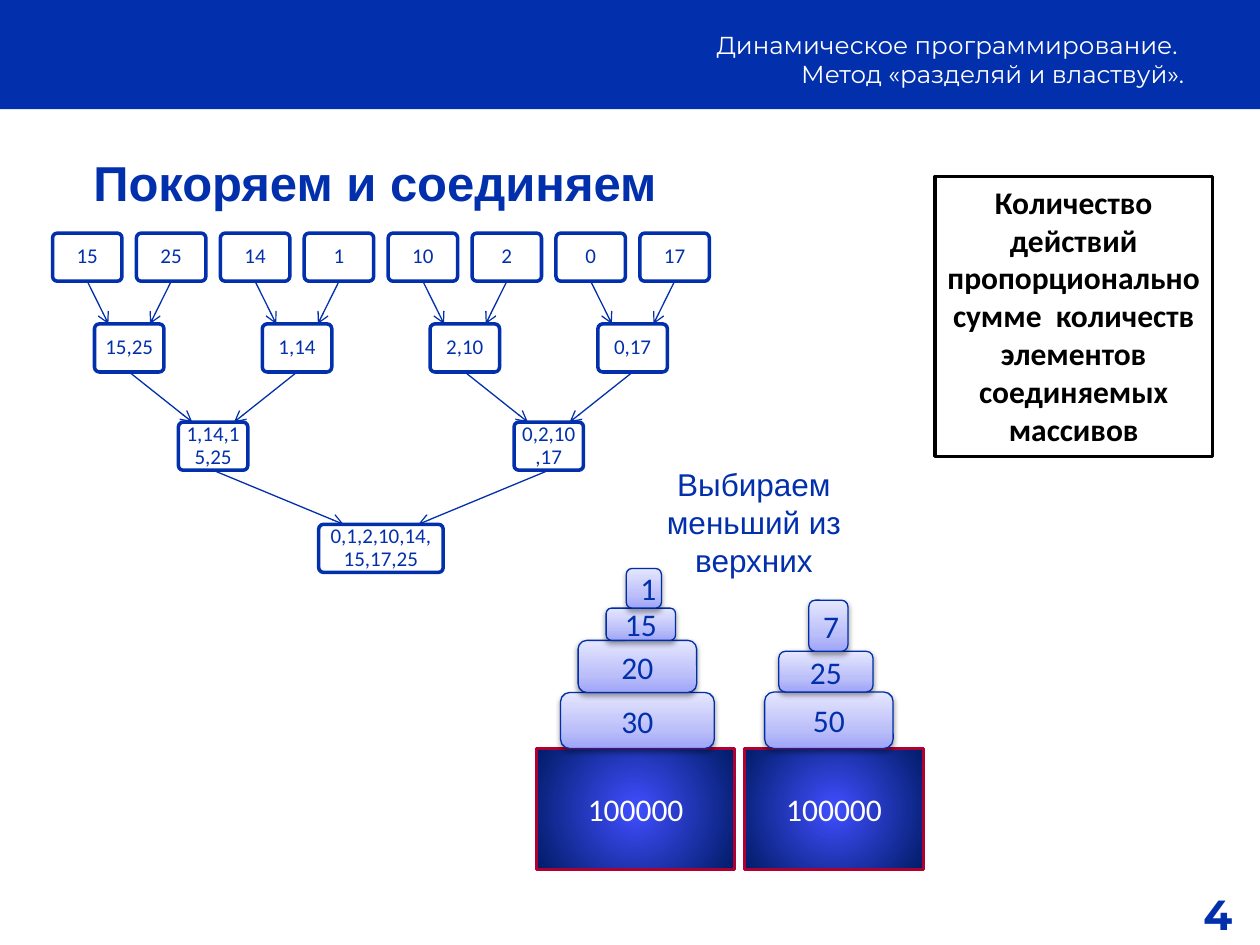
from lxml import etree
from pptx import Presentation
from pptx.dml.color import RGBColor
from pptx.enum.shapes import MSO_CONNECTOR, MSO_SHAPE
from pptx.enum.text import MSO_ANCHOR, MSO_AUTO_SIZE, PP_ALIGN
from pptx.oxml.ns import qn
from pptx.util import Cm, Pt

RECTANGLE, ROUNDED = MSO_SHAPE.RECTANGLE, MSO_SHAPE.ROUNDED_RECTANGLE
STRAIGHT = MSO_CONNECTOR.STRAIGHT
TOP, MIDDLE = MSO_ANCHOR.TOP, MSO_ANCHOR.MIDDLE
LEFT, CENTER, RIGHT = PP_ALIGN.LEFT, PP_ALIGN.CENTER, PP_ALIGN.RIGHT
NO_AUTOFIT = MSO_AUTO_SIZE.NONE
BOTTOM_SITE = 2

BLUE = RGBColor(0x02, 0x30, 0xAC)
EDGE_BLUE = RGBColor(0x00, 0x2E, 0xAA)
CRIMSON = RGBColor(0xAF, 0x00, 0x32)
WHITE = RGBColor(0xFF, 0xFF, 0xFF)
BLACK = RGBColor(0x00, 0x00, 0x00)
BRIGHT = RGBColor(0x40, 0x4E, 0xFF)
NAVY = RGBColor(0x00, 0x1C, 0x67)
LILAC_DARK = RGBColor(0x9F, 0xA4, 0xF9)
LILAC = RGBColor(0xBC, 0xC0, 0xF9)
LILAC_LIGHT = RGBColor(0xE5, 0xE6, 0xFE)

TREE_ROWS = [
    ["15", "25", "14", "1", "10", "2", "0", "17"],
    ["15,25", "1,14", "2,10", "0,17"],
    ["1,14,15,25", "0,2,10,17"],
    ["0,1,2,10,14,15,17,25"],
]
ROW_TOPS = [0, 1.83, 3.81, 5.87]
LEFT_BLOCKS = [("30", 2.03, 3.1, 1.13), ("20", 2.03, 2.39, 1.05),
               ("15", 2.1, 1.4, 0.65), ("1", 2.16, 0.71, 0.8)]
RIGHT_BLOCKS = [("50", 1.7, 2.59, 1.14), ("25", 1.64, 1.9, 0.82),
                ("7", 1.69, 0.79, 1.03)]


def write(shape, text, font="Calibri", size=18, color=BLUE, bold=False,
          align=CENTER, anchor=MIDDLE, spacing=1.0, inset=None):
    frame = shape.text_frame
    frame.word_wrap = True
    frame.auto_size = NO_AUTOFIT
    frame.vertical_anchor = anchor
    if inset is not None:
        frame.margin_left = frame.margin_right = Cm(inset)
        frame.margin_top = frame.margin_bottom = Cm(inset)
    for index, line in enumerate(text.split("\n")):
        para = frame.paragraphs[0] if index == 0 else frame.add_paragraph()
        para.alignment = align
        para.line_spacing = spacing
        span = para.add_run()
        span.text = line
        span.font.name = font
        span.font.size = Pt(size)
        span.font.bold = bold
        span.font.color.rgb = color


def add_label(page, box, text, **style):
    label = page.shapes.add_textbox(*map(Cm, box))
    write(label, text, **style)


def add_box(page, kind, box, fill=None, line=None, width=2):
    shape = page.shapes.add_shape(kind, *map(Cm, box))
    shape.shadow.inherit = False
    if fill is None:
        shape.fill.background()
    else:
        shape.fill.solid()
        shape.fill.fore_color.rgb = fill
    if line is None:
        shape.line.fill.background()
    else:
        shape.line.color.rgb = line
        shape.line.width = Pt(width)
    return shape


def set_gradient(shape, stops, angle=None):
    shape.fill.gradient()
    gradient = shape.element.spPr.find(qn("a:gradFill"))
    for child in list(gradient):
        gradient.remove(child)
    stop_list = etree.SubElement(gradient, qn("a:gsLst"))
    for position, color in stops:
        stop = etree.SubElement(stop_list, qn("a:gs"), pos=str(position * 1000))
        etree.SubElement(stop, qn("a:srgbClr"), val=str(color))
    if angle is None:
        radial = etree.SubElement(gradient, qn("a:path"), path="circle")
        etree.SubElement(radial, qn("a:fillToRect"),
                         dict.fromkeys("ltrb", "50000"))
    else:
        etree.SubElement(gradient, qn("a:lin"), ang=str(angle * 60000), scaled="0")


def set_shadow(shape):
    effects = shape.element.spPr.find(qn("a:effectLst"))
    shadow = etree.SubElement(effects, qn("a:outerShdw"), blurRad="40000",
                              dist="20000", dir="5400000", rotWithShape="0")
    color = etree.SubElement(shadow, qn("a:srgbClr"), val=str(BLACK))
    etree.SubElement(color, qn("a:alpha"), val="38000")


def add_arrow(page, source, end_x, end_y):
    arrow = page.shapes.add_connector(STRAIGHT, 0, 0, end_x, end_y)
    arrow.begin_connect(source, BOTTOM_SITE)
    arrow.line.color.rgb = BLUE
    arrow.line.width = Pt(0.75)
    etree.SubElement(arrow.line._get_or_add_ln(), qn("a:tailEnd"), type="arrow")
    etree.SubElement(arrow.element.spPr, qn("a:effectLst"))


def add_header(page, left, top, width, height):
    add_box(page, RECTANGLE, (left, top, width, height), fill=BLUE)
    add_label(page, (left + width - 14.2, top + 0.69, 12.93, 1.02),
              "Динамическое программирование. \nМетод «разделяй и властвуй».",
              font="Montserrat", size=14, color=WHITE, align=RIGHT)


def add_title(page, left, top, width, height):
    title = page.shapes.title
    title.left, title.top = Cm(left), Cm(top)
    title.width, title.height = Cm(width), Cm(height)
    write(title, "Покоряем и соединяем", font="Arial", size=28, bold=True,
          align=LEFT, anchor=TOP)


def add_merge_tree(page, left, top, width):
    node_width, node_height, root_width = 1.4, 0.97, 2.51
    step = (width - node_width) / (len(TREE_ROWS[0]) - 1)
    centers = [left + node_width / 2 + step * i for i in range(len(TREE_ROWS[0]))]
    children = []
    for row, row_top in zip(TREE_ROWS, ROW_TOPS):
        if children:
            centers = [sum(pair) / 2 for pair in zip(centers[::2], centers[1::2])]
        box_width = root_width if len(row) == 1 else node_width
        nodes = []
        for text, center in zip(row, centers):
            node = add_box(page, ROUNDED, (center - box_width / 2, top + row_top,
                                           box_width, node_height), line=BLUE)
            node.adjustments[0] = 0.1
            write(node, text, size=12, spacing=0.9, inset=0.13)
            nodes.append(node)
        for index, child in enumerate(children):
            share = 0.2 if index % 2 == 0 else 0.8
            parent = nodes[index // 2]
            add_arrow(page, child, parent.left + int(parent.width * share),
                      parent.top)
        children = nodes


def add_tower(page, left, top, width, height, blocks):
    base = add_box(page, RECTANGLE, (left, top, width, height), line=CRIMSON)
    set_gradient(base, [(0, BRIGHT), (100, NAVY)])
    write(base, "100000", color=WHITE)
    for text, center, block_width, block_height in blocks:
        top -= block_height
        block = add_box(page, ROUNDED, (left + center - block_width / 2, top,
                                        block_width, block_height),
                        line=EDGE_BLUE, width=0.75)
        set_gradient(block, [(0, LILAC_DARK), (35, LILAC), (100, LILAC_LIGHT)], 270)
        set_shadow(block)
        write(block, text)


def add_note(page, left, top, width, height):
    note = add_box(page, RECTANGLE, (left, top, width, height),
                   fill=WHITE, line=BLACK)
    write(note, "Количество действий пропорционально сумме  количеств "
                "элементов соединяемых массивов",
          color=BLACK, bold=True, anchor=TOP)


def main():
    deck = Presentation()
    deck.slide_width, deck.slide_height = Cm(25.4), Cm(19.05)
    page = deck.slides.add_slide(deck.slide_layouts[5])
    add_header(page, 0, 0, 25.4, 2.2)
    add_title(page, 1.63, 2.95, 13.79, 1.45)
    add_merge_tree(page, 1.06, 4.7, 13.24)
    add_tower(page, 15.01, 15.09, 3.61, 2.44, RIGHT_BLOCKS)
    add_tower(page, 10.82, 15.09, 3.99, 2.44, LEFT_BLOCKS)
    add_label(page, (12.9, 9.25, 4.6, 2.57), "Выбираем меньший из верхних",
              font="Arial", anchor=TOP)
    add_note(page, 18.85, 3.56, 5.59, 5.64)
    add_label(page, (23.7, 17.78, 1.7, 1.27), "4", font="Montserrat", size=24,
              bold=True, anchor=TOP)
    deck.save("out.pptx")


if __name__ == "__main__":
    main()
